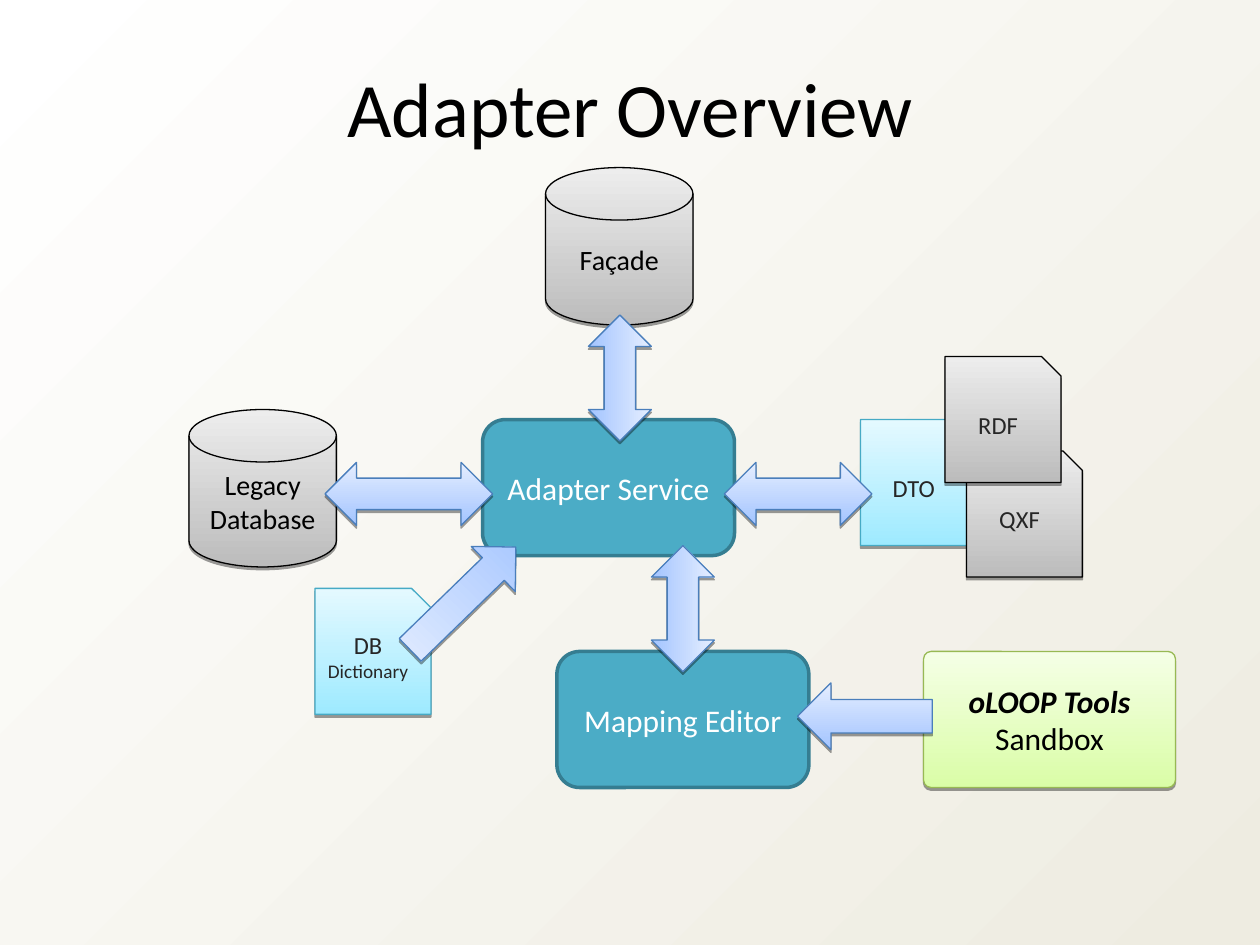
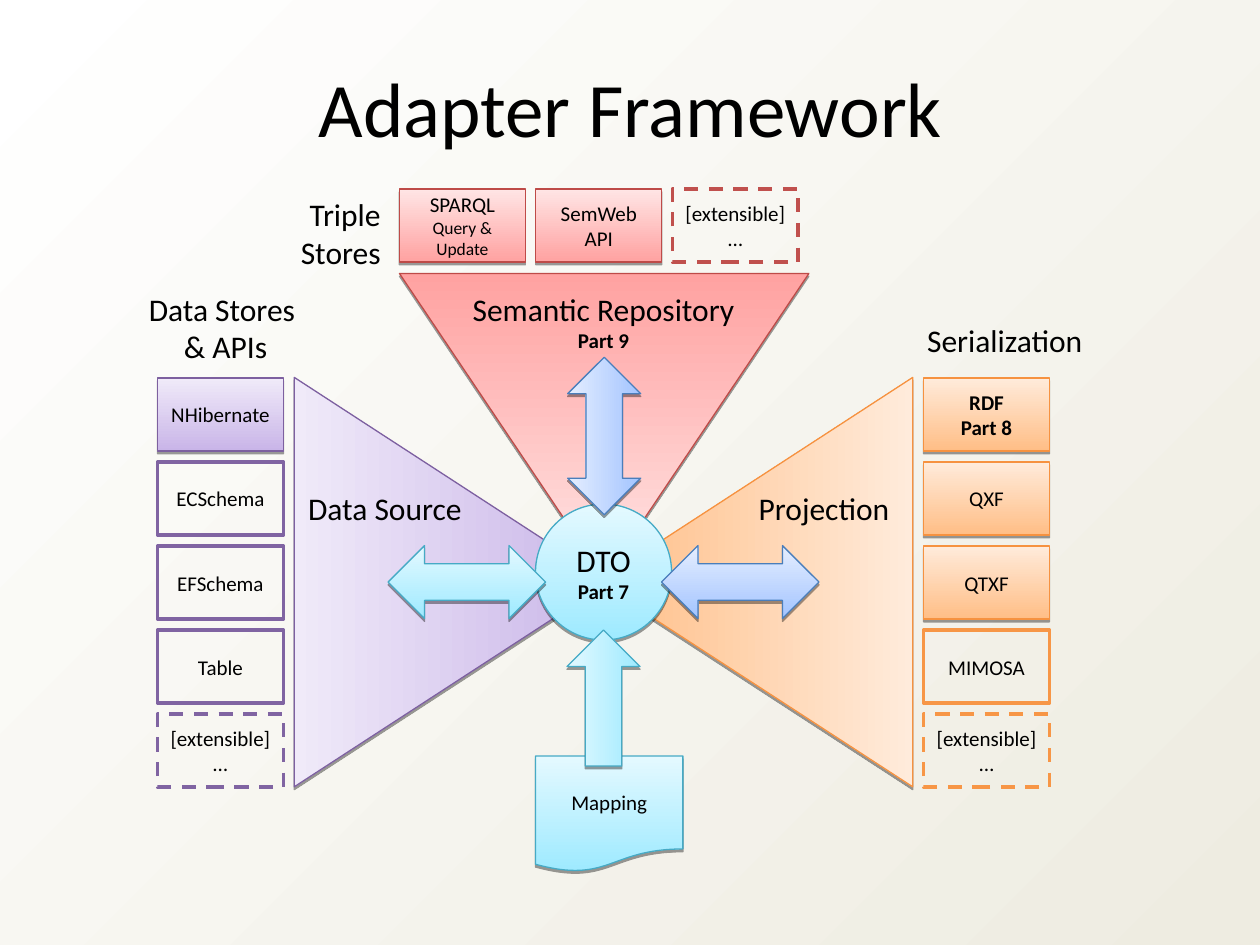
from typing import NamedTuple

from lxml import etree
from pptx import Presentation
from pptx.dml.color import RGBColor
from pptx.enum import dml, shapes, text
from pptx.oxml import ns
from pptx.util import Inches, Pt

BLACK = RGBColor(0x00, 0x00, 0x00)
WHITE = RGBColor(0xFF, 0xFF, 0xFF)
IVORY = RGBColor(0xEE, 0xEC, 0xE1)
CHARCOAL = RGBColor(0x26, 0x26, 0x26)
TEAL = RGBColor(0x4B, 0xAC, 0xC6)
DARK_TEAL = RGBColor(0x35, 0x7D, 0x91)
FONT = "Calibri"
KIND = shapes.MSO_SHAPE
ALIGN = text.PP_ALIGN


class Theme(NamedTuple):
    """Gradient ends, thin outline and heavy outline of one colour family."""
    deep: RGBColor
    pale: RGBColor
    edge: RGBColor
    frame: RGBColor


def theme(*codes):
    """Return a theme from four hexadecimal colours."""
    return Theme(*map(RGBColor.from_string, codes))


GREY = theme("BCBCBC", "EDEDED", "000000", "000000")
AQUA = theme("9EEAFF", "E4F9FF", "46AAC5", "4BACC6")
BLUE = theme("A3C4FF", "E5EEFF", "4A7EBB", "4F81BD")
GREEN = theme("DAFDA7", "F5FFE6", "98B954", "9BBB59")
RED = theme("FFA2A1", "FFE5E5", "BE4B48", "C0504D")
PURPLE = theme("C9B5E8", "F0EAF9", "7D60A0", "8064A2")
ORANGE = theme("FFBE86", "FFEBDB", "F69240", "F79646")


class Box(NamedTuple):
    """A rectangle in inches."""
    left: float
    top: float
    width: float
    height: float

    def inside(self, x, y, width, height):
        """Return a box whose corner is offset from this one."""
        return Box(self.left + x, self.top + y, width, height)

    def lengths(self):
        """Return the four lengths for a shape call."""
        return [Inches(value) for value in self]


DIAGRAM = Box(1.25, 1.25, 8.08, 5.67)
CELL = (1, 0.58)


def paint_gradient(fill, first, last, angle):
    """Fill with two colours along a counterclockwise angle."""
    fill.gradient()
    fill.gradient_angle = angle
    for stop, color in zip(fill.gradient_stops, (first, last)):
        stop.color.rgb = color


def add_shadow(shape):
    """Give the shape a hard shadow just below it."""
    effects = shape._element.spPr.find(ns.qn("a:effectLst"))
    shadow = etree.SubElement(effects, ns.qn("a:outerShdw"), blurRad="0",
                              dist="20000", dir="5400000", rotWithShape="0")
    color = etree.SubElement(shadow, ns.qn("a:srgbClr"), val=str(BLACK))
    etree.SubElement(color, ns.qn("a:alpha"), val="38000")


def write(frame, content, sizes, color=BLACK, align=ALIGN.CENTER, bold=(), italic=()):
    """Write one paragraph per line; bold and italic hold line numbers."""
    frame.text = content
    for index, paragraph in enumerate(frame.paragraphs):
        paragraph.alignment = align
        for run in paragraph.runs:
            font = run.font
            font.name = FONT
            font.size = Pt(sizes[min(index, len(sizes) - 1)])
            font.color.rgb = color
            font.bold = index in bold
            font.italic = index in italic


def add_base(slide, kind, box, rotation=0, adjustments=()):
    """Add a preset shape without shadow and with centred wrapped text."""
    shape = slide.shapes.add_shape(kind, *box.lengths())
    shape.shadow.inherit = False
    shape.rotation = rotation
    for index, value in enumerate(adjustments):
        shape.adjustments[index] = value
    shape.text_frame.word_wrap = True
    shape.text_frame.vertical_anchor = text.MSO_ANCHOR.MIDDLE
    return shape


def add_glossy(slide, kind, box, colors, rotation=0, adjustments=()):
    """Add a gradient shape with a thin outline and a shadow."""
    shape = add_base(slide, kind, box, rotation, adjustments)
    paint_gradient(shape.fill, colors.deep, colors.pale, (90 + rotation) % 360)
    shape._element.spPr.find(ns.qn("a:gradFill")).set("rotWithShape", "0")
    shape.line.color.rgb = colors.edge
    shape.line.width = Pt(0.75)
    add_shadow(shape)
    return shape


def add_framed(slide, box, colors, dashed):
    """Add an unfilled rectangle with a heavy outline."""
    shape = add_base(slide, KIND.RECTANGLE, box)
    shape.fill.background()
    shape.line.color.rgb = colors.frame
    shape.line.width = Pt(2)
    if dashed:
        shape.line.dash_style = dml.MSO_LINE.DASH
    return shape


def add_label(slide, box, content, sizes=(18,), wrap=True, **style):
    """Add a text box."""
    frame = slide.shapes.add_textbox(*box.lengths()).text_frame
    frame.word_wrap = wrap
    write(frame, content, sizes, **style)


def add_cylinder(slide, box, content):
    """Add a grey data store."""
    write(add_glossy(slide, KIND.FLOWCHART_MAGNETIC_DISK, box, GREY).text_frame, content, [16])


def add_document(slide, box, content, colors, sizes=(14,)):
    """Add a page with a cut corner."""
    page = add_glossy(slide, KIND.SNIP_1_RECTANGLE, box, colors, adjustments=[0.167])
    write(page.text_frame, content, sizes, CHARCOAL)


def add_service(slide, box, content):
    """Add a flat teal service block."""
    block = add_base(slide, KIND.ROUNDED_RECTANGLE, box, adjustments=[0.167])
    block.fill.solid()
    block.fill.fore_color.rgb = TEAL
    block.line.color.rgb = DARK_TEAL
    block.line.width = Pt(2)
    write(block.text_frame, content, [18], WHITE)


def add_cells(slide, box, step, entries, colors):
    """Repeat cells by a step; each entry is style, text, sizes and bold lines."""
    for index, (style, content, sizes, bold) in enumerate(entries):
        place = box.inside(index * step[0], index * step[1], *CELL)
        if style == "glossy":
            cell = add_glossy(slide, KIND.RECTANGLE, place, colors)
        else:
            cell = add_framed(slide, place, colors, style == "dashed")
        write(cell.text_frame, content, sizes, bold=bold)


def add_slide(presentation, title):
    """Add a slide with the shared background and title."""
    slide = presentation.slides.add_slide(presentation.slide_layouts[6])
    paint_gradient(slide.background.fill, WHITE, IVORY, 315)
    add_label(slide, Box(0.17, 0.43, 9.67, 0.84), title, [44])
    return slide


def draw_overview(slide, box):
    """Draw the services, their stores and the arrows between them."""
    add_document(slide, box.inside(1.25, 3.42, 0.92, 1), "DB\nDictionary", AQUA, [14, 11])
    add_document(slide, box.inside(5.58, 2.08, 0.92, 1), "DTO", AQUA)
    add_document(slide, box.inside(6.42, 2.33, 0.92, 1), "QXF", GREY)
    add_document(slide, box.inside(6.25, 1.58, 0.92, 1), "RDF", GREY)
    add_cylinder(slide, box.inside(0.25, 2, 1.17, 1.25), "Legacy Database")
    add_cylinder(slide, box.inside(3.08, 0.08, 1.17, 1.25), "Façade")
    add_service(slide, box.inside(2.58, 2.08, 2, 1.08), "Adapter Service")
    add_service(slide, box.inside(3.17, 3.92, 2, 1.08), "Mapping Editor")
    sandbox = add_glossy(slide, KIND.ROUNDED_RECTANGLE, box.inside(6.08, 3.92, 2, 1.08),
                         GREEN, adjustments=[0.056])
    write(sandbox.text_frame, "oLOOP Tools\nSandbox", [18], bold=[0], italic=[0])
    for kind, place, rotation in (
        (KIND.LEFT_ARROW, (1.84, 3.25, 1.17, 0.5), 135.8),
        (KIND.LEFT_RIGHT_ARROW, (4.5, 2.42, 1.17, 0.5), 0),
        (KIND.LEFT_RIGHT_ARROW, (3.17, 1.5, 1, 0.5), 270),
        (KIND.LEFT_RIGHT_ARROW, (1.33, 2.42, 1.33, 0.5), 0),
        (KIND.LEFT_RIGHT_ARROW, (3.67, 3.33, 1, 0.5), 270),
        (KIND.LEFT_ARROW, (5.08, 4.17, 1.07, 0.53), 0),
    ):
        add_glossy(slide, kind, box.inside(*place), BLUE, rotation)


def draw_wings(slide, box):
    """Draw the three triangles that point to the hub, with their labels."""
    for place, colors, rotation in (
        ((1.92, 0.92, 3.25, 2.42), RED, 180),
        ((0.71, 2.12, 3.25, 2.5), PURPLE, 90),
        ((3.12, 2.12, 3.25, 2.5), ORANGE, 270),
    ):
        add_glossy(slide, KIND.ISOSCELES_TRIANGLE, box.inside(*place), colors, rotation)
    add_label(slide, box.inside(2.25, 1, 2.58, 0.6), "Semantic Repository\nPart 9", [18, 12], bold=[1])
    add_label(slide, box.inside(4.58, 2.58, 1.42, 0.4), "Projection")
    add_label(slide, box.inside(1.09, 2.58, 1.43, 0.4), "Data Source", wrap=False)


def draw_hub(slide, box):
    """Draw the central circle, the mapping page and their arrows."""
    hub = add_glossy(slide, KIND.OVAL, box.inside(3, 2.75, 1.08, 1.08), AQUA)
    write(hub.text_frame, "DTO\nPart 7", [18, 12], bold=[1])
    mapping = add_glossy(slide, KIND.FLOWCHART_DOCUMENT, box.inside(3, 4.75, 1.17, 0.92), AQUA)
    write(mapping.text_frame, "Mapping", [12])
    for kind, place, colors, rotation in (
        (KIND.LEFT_RIGHT_ARROW, (1.83, 3.08, 1.25, 0.58), AQUA, 0),
        (KIND.LEFT_RIGHT_ARROW, (4, 3.08, 1.25, 0.58), BLUE, 0),
        (KIND.LEFT_RIGHT_ARROW, (2.92, 1.92, 1.25, 0.58), BLUE, 90),
        (KIND.LEFT_ARROW, (3, 4, 1.08, 0.58), AQUA, 90),
    ):
        add_glossy(slide, kind, box.inside(*place), colors, rotation)


def draw_plugins(slide, box):
    """Draw the row and the two columns of plug-in cells with headings."""
    extensible = ("dashed", "[extensible]\n…", [12], ())
    across, down = (1.083, 0), (0, 0.667)
    add_cells(slide, box.inside(1.92, 0.25, *CELL), across, [
        ("glossy", "SPARQL\nQuery & Update", [12, 10], ()),
        ("glossy", "SemWeb API", [12], ()),
        extensible,
    ], RED)
    sources = [("framed", name, [12], ()) for name in ("ECSchema", "EFSchema", "Table")]
    add_cells(slide, box.inside(0, 1.75, *CELL), down,
              [("glossy", "NHibernate", [12], ()), *sources, extensible], PURPLE)
    add_cells(slide, box.inside(6.08, 1.75, *CELL), down, [
        ("glossy", "RDF\nPart 8", [12], (0, 1)),
        ("glossy", "QXF", [12], ()),
        ("glossy", "QTXF", [12], ()),
        ("framed", "MIMOSA", [12], ()),
        extensible,
    ], ORANGE)
    add_label(slide, box.inside(1.03, 0.25, 0.84, 0.7), "Triple\nStores", wrap=False, align=ALIGN.RIGHT)
    add_label(slide, box.inside(-0.17, 1, 1.42, 1), "Data Stores \n& APIs")
    add_label(slide, box.inside(6.01, 1.25, 1.44, 0.4), "Serialization", wrap=False, align=ALIGN.LEFT)


def main():
    """Build and save the two slides."""
    presentation = Presentation()
    presentation.slide_width = Inches(10)
    presentation.slide_height = Inches(7.5)
    draw_overview(add_slide(presentation, "Adapter Overview"), DIAGRAM)
    framework = add_slide(presentation, "Adapter Framework")
    for draw in (draw_wings, draw_hub, draw_plugins):
        draw(framework, DIAGRAM)
    presentation.save("out.pptx")


if __name__ == "__main__":
    main()
